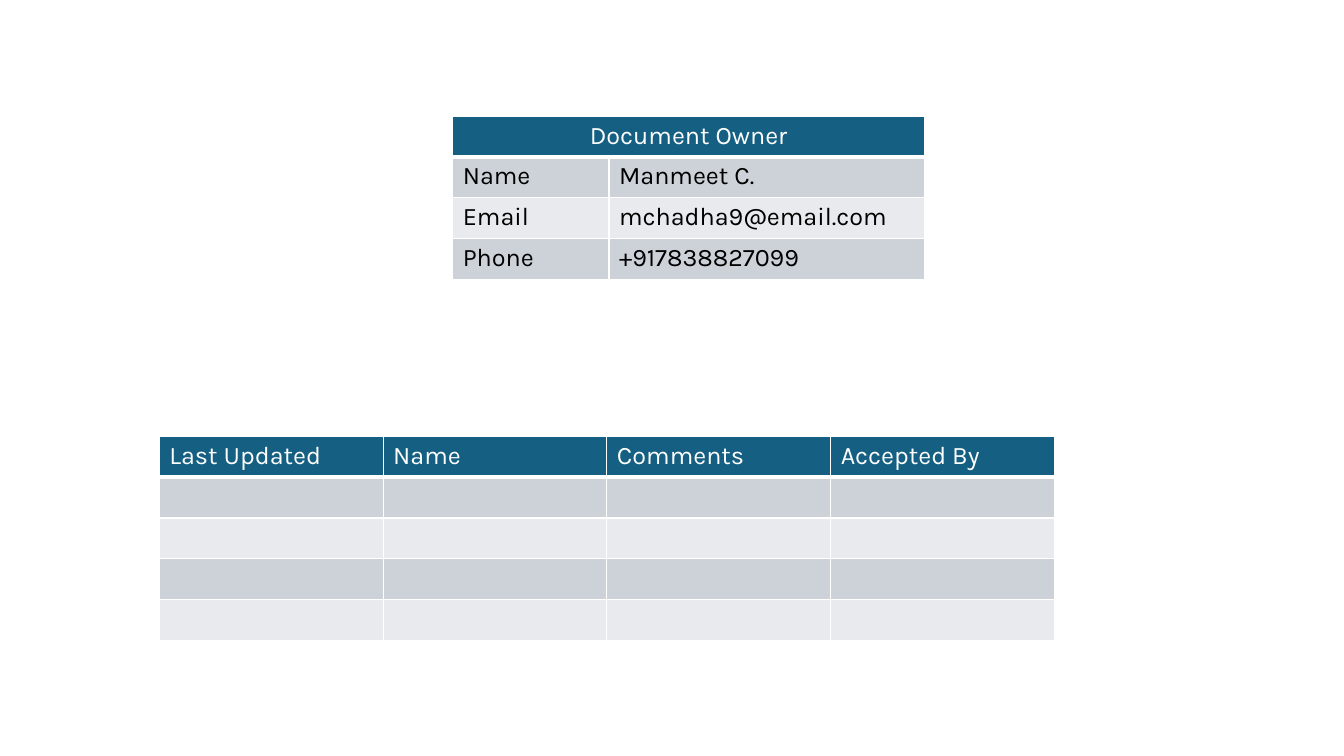
from pptx import Presentation
from pptx.dml.color import RGBColor as RGB
from pptx.enum.text import PP_ALIGN as Align
from pptx.oxml import parse_xml
from pptx.oxml.ns import nsdecls
from pptx.util import Inches, Pt

WHITE = RGB(0xFF, 0xFF, 0xFF)
BLACK = RGB(0x00, 0x00, 0x00)
TEAL = RGB(0x15, 0x60, 0x82)
DARK = RGB(0xCC, 0xD2, 0xD8)
LIGHT = RGB(0xE8, 0xEA, 0xED)


class Deck:
    font = "Karla"
    size = Pt(18)
    row_high = 0.405

    def __init__(self, slide):
        self.slide = slide

    def table(self, left, top, widths, rows):
        """Draw a table with a header row and banded rows below it."""
        frame = self.slide.shapes.add_table(
            len(rows), len(widths), Inches(left), Inches(top),
            Inches(sum(widths)), Inches(self.row_high * len(rows)))
        grid = frame.table
        grid.first_row = grid.horz_banding = False
        for col, width in zip(grid.columns, widths):
            col.width = Inches(width)
        for r, texts in enumerate(rows):
            grid.rows[r].height = Inches(self.row_high)
            fill = TEAL if r == 0 else DARK if r % 2 else LIGHT
            for c, text in enumerate(texts):
                self.cell(grid.cell(r, c), text, fill, r == 0)
        return grid

    def cell(self, cell, text, fill, head):
        cell.fill.solid()
        cell.fill.fore_color.rgb = fill
        self.edges(cell, 3 if head else 1)
        cell.text_frame.text = text
        para = cell.text_frame.paragraphs[0]
        for font in [para.font] + [run.font for run in para.runs]:
            font.name = self.font
            font.size = self.size
            font.bold = False
            font.color.rgb = WHITE if head else BLACK

    def edges(self, cell, base):
        props = cell._tc.get_or_add_tcPr()
        for i, (side, width) in enumerate(zip("LRTB", (1, 1, 1, base))):
            props.insert(i, parse_xml(
                f'<a:ln{side} {nsdecls("a")} w="{Pt(width)}"><a:solidFill>'
                f'<a:srgbClr val="{WHITE}"/></a:solidFill></a:ln{side}>'))


def main():
    prs = Presentation()
    prs.slide_width, prs.slide_height = Inches(13.33), Inches(7.5)
    deck = Deck(prs.slides.add_slide(prs.slide_layouts[6]))

    # Change log
    heads = ["Last Updated", "Name", "Comments", "Accepted By"]
    deck.table(1.58, 4.33, [2.22] * 4, [heads] + [[""] * 4] * 4)

    # Document owner
    owner = deck.table(4.49, 1.15, [1.55, 3.13], [
        ["Document Owner", ""],
        ["Name", "Manmeet C."],
        ["Email", "mchadha9@email.com"],
        ["Phone", "+917838827099"],
    ])
    title = owner.cell(0, 0)
    title.merge(owner.cell(0, 1))
    title.text_frame.paragraphs[0].alignment = Align.CENTER

    prs.save("out.pptx")


if __name__ == "__main__":
    main()
